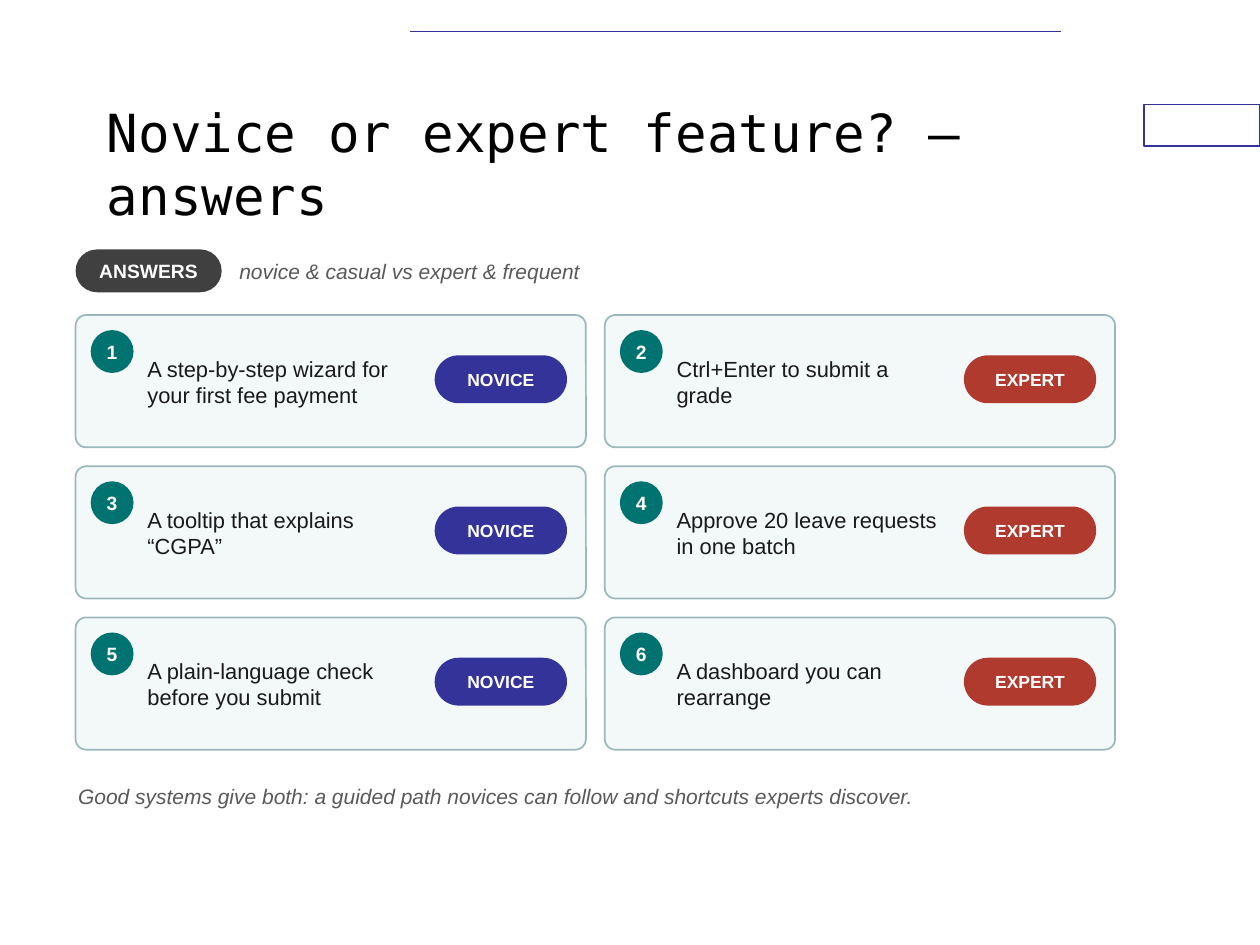
from lxml import etree
from pptx import Presentation
from pptx.dml.color import RGBColor
from pptx.enum.shapes import MSO_CONNECTOR, MSO_SHAPE
from pptx.enum.text import MSO_ANCHOR, PP_ALIGN
from pptx.oxml.ns import qn
from pptx.util import Inches, Pt

WHITE = RGBColor(0xFF, 0xFF, 0xFF)
BLACK = RGBColor(0x00, 0x00, 0x00)
INK = RGBColor(0x1A, 0x1A, 0x1A)
GREY = RGBColor(0x59, 0x59, 0x59)
CHARCOAL = RGBColor(0x40, 0x40, 0x40)
INDIGO = RGBColor(0x33, 0x33, 0x99)
RED = RGBColor(0xB0, 0x3A, 0x2E)
TEAL = RGBColor(0x00, 0x72, 0x6F)
CARD_FILL = RGBColor(0xF3, 0xF8, 0xF9)
CARD_LINE = RGBColor(0x9D, 0xB8, 0xBC)

TITLE = "Novice or expert feature? — answers"
BADGE = "ANSWERS"
SUBTITLE = "novice & casual vs expert & frequent"
FEATURES = [
    ("A step-by-step wizard for your first fee payment", "NOVICE"),
    ("Ctrl+Enter to submit a grade", "EXPERT"),
    ("A tooltip that explains “CGPA”", "NOVICE"),
    ("Approve 20 leave requests in one batch", "EXPERT"),
    ("A plain-language check before you submit", "NOVICE"),
    ("A dashboard you can rearrange", "EXPERT"),
]
CLOSING = "Good systems give both: a guided path novices can follow and shortcuts experts discover."
ANSWER_COLORS = {"NOVICE": INDIGO, "EXPERT": RED}

COLUMNS = 2
GRID_LEFT, GRID_TOP = 0.6, 2.5
CARD_WIDTH, CARD_HEIGHT, GAP = 4.05, 1.05, 0.15


def write(shape, text, size, color, inset, font="Arial", bold=False, italic=False,
          align=PP_ALIGN.LEFT, anchor=MSO_ANCHOR.MIDDLE):
    frame = shape.text_frame
    frame.text = text
    frame.word_wrap = True
    frame.vertical_anchor = anchor
    frame.margin_left = frame.margin_right = Inches(inset[0])
    frame.margin_top = frame.margin_bottom = Inches(inset[1])
    paragraph = frame.paragraphs[0]
    paragraph.alignment = align
    run_font = paragraph.runs[0].font
    run_font.name, run_font.size = font, Pt(size)
    run_font.bold, run_font.italic = bold, italic
    run_font.color.rgb = color


def add_text(slide, box, text, size, color, inset=(0.02, 0.02), **style):
    shape = slide.shapes.add_textbox(*map(Inches, box))
    write(shape, text, size, color, inset, **style)


def add_box(slide, kind, box, fill, line=None, line_width=1, corner=None):
    shape = slide.shapes.add_shape(kind, *map(Inches, box))
    shape.shadow.inherit = False
    shape.fill.solid()
    shape.fill.fore_color.rgb = fill
    if line is None:
        shape.line.fill.background()
    else:
        shape.line.color.rgb = line
        shape.line.width = Pt(line_width)
    if corner is not None:
        shape.adjustments[0] = corner
    return shape


def add_pill(slide, box, text, size, fill):
    pill = add_box(slide, MSO_SHAPE.ROUNDED_RECTANGLE, box, fill, corner=0.5)
    write(pill, text, size, WHITE, (0.03, 0.03), bold=True, align=PP_ALIGN.CENTER)


def add_card(slide, index, feature, answer):
    row, column = divmod(index, COLUMNS)
    left = GRID_LEFT + column * (CARD_WIDTH + GAP)
    top = GRID_TOP + row * (CARD_HEIGHT + GAP)
    add_box(slide, MSO_SHAPE.ROUNDED_RECTANGLE, (left, top, CARD_WIDTH, CARD_HEIGHT),
            CARD_FILL, CARD_LINE, corner=0.08)
    number = add_box(slide, MSO_SHAPE.OVAL, (left + 0.12, top + 0.12, 0.34, 0.34), TEAL)
    write(number, str(index + 1), 11, WHITE, (0, 0), bold=True, align=PP_ALIGN.CENTER)
    add_text(slide, (left + 0.55, top + 0.08, 2.15, 0.9), feature, 12.5, INK)
    add_pill(slide, (left + 2.85, top + 0.32, 1.05, 0.38), answer, 10, ANSWER_COLORS[answer])


def add_decoration(slide):
    add_box(slide, MSO_SHAPE.RECTANGLE, (9.08, 0.83, 0.92, 0.33), WHITE, INDIGO, 0.75)
    rule = slide.shapes.add_connector(
        MSO_CONNECTOR.STRAIGHT, Inches(3.25), Inches(0.25), Inches(8.42), Inches(0.25))
    rule.line.color.rgb = INDIGO
    rule.line.width = Pt(1)
    etree.SubElement(rule._element.spPr, qn("a:effectLst"))


def main():
    presentation = Presentation()
    presentation.slide_width, presentation.slide_height = Inches(10), Inches(7.5)
    slide = presentation.slides.add_slide(presentation.slide_layouts[6])
    add_decoration(slide)
    add_text(slide, (0.75, 0.67, 7.5, 1.25), TITLE, 30, BLACK, (0.1, 0.05),
             font="DejaVu Sans Mono")
    add_pill(slide, (GRID_LEFT, 1.98, 1.16, 0.34), BADGE, 11, CHARCOAL)
    add_text(slide, (1.88, 1.98, 7.03, 0.34), SUBTITLE, 12, GREY, italic=True)
    for index, (feature, answer) in enumerate(FEATURES):
        add_card(slide, index, feature, answer)
    add_text(slide, (GRID_LEFT, 6.2, 8.3, 0.5), CLOSING, 12, GREY, italic=True,
             anchor=MSO_ANCHOR.TOP)
    presentation.save("out.pptx")


if __name__ == "__main__":
    main()
